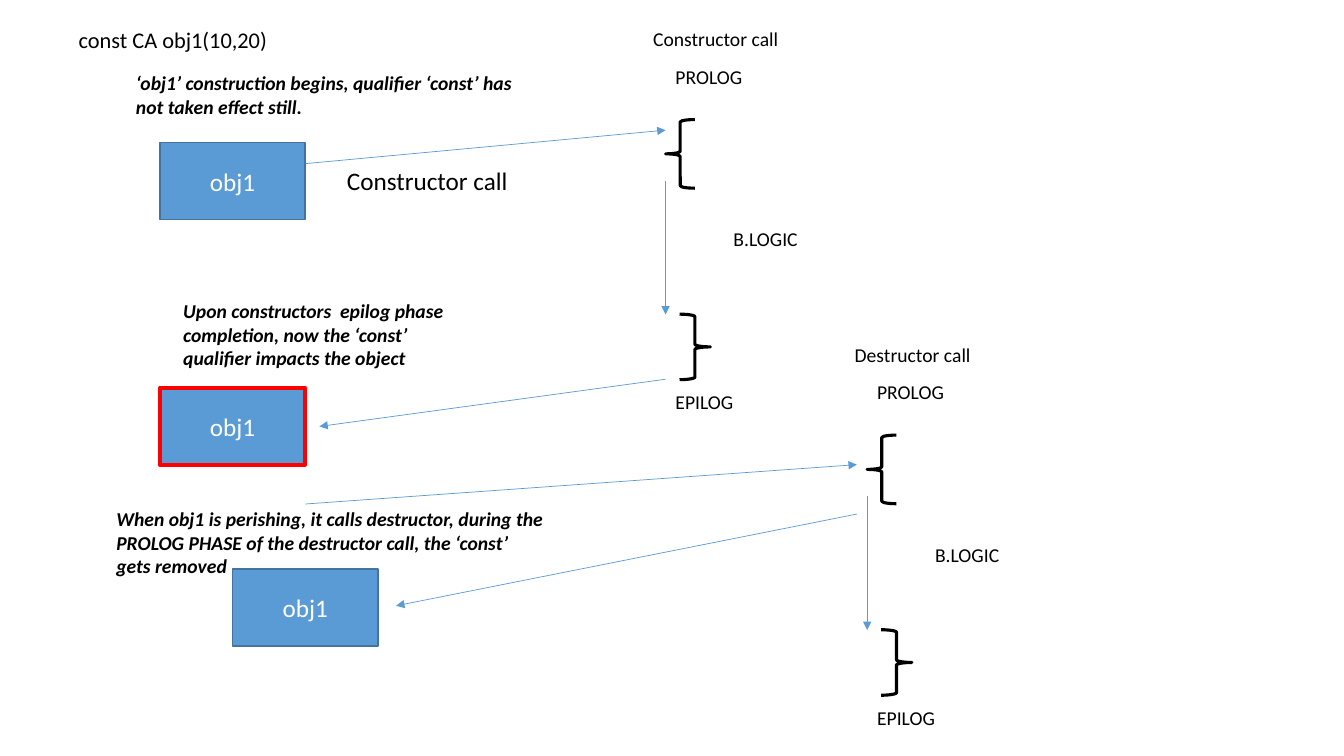
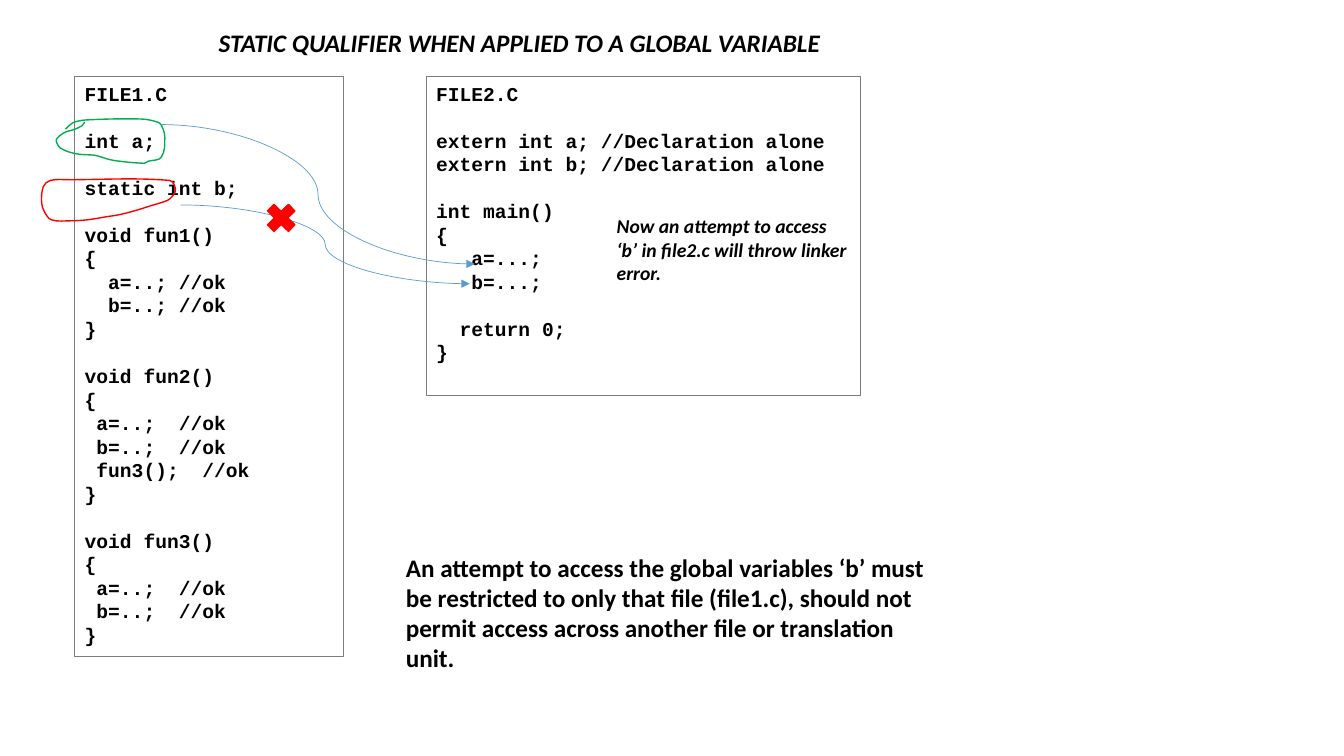
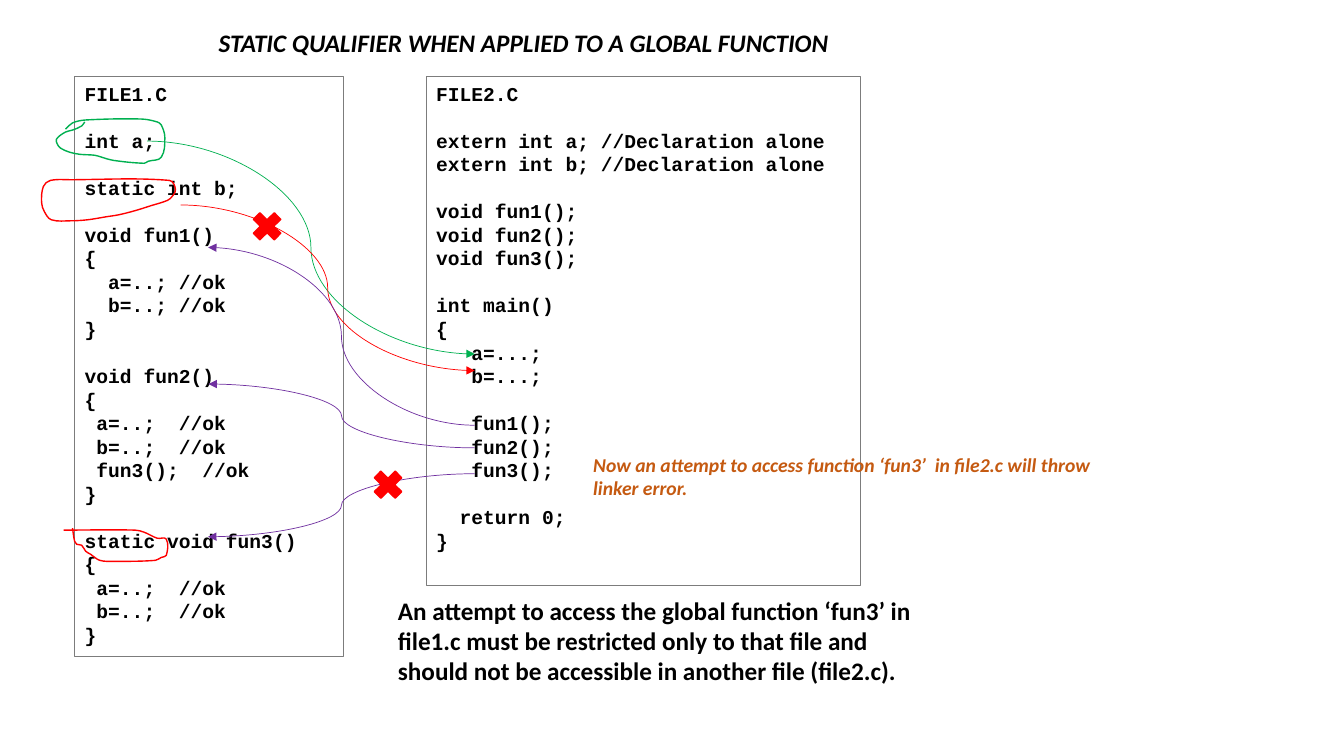
from dataclasses import dataclass
from typing import Optional

from lxml import etree
from pptx import Presentation
from pptx import util as u
from pptx.dml.color import RGBColor
from pptx.enum import shapes, text
from pptx.oxml import ns

BLACK = RGBColor(0x00, 0x00, 0x00)
WHITE = RGBColor(0xFF, 0xFF, 0xFF)
BLUE = RGBColor(0x5B, 0x9B, 0xD5)
DARK_BLUE = RGBColor(0x43, 0x73, 0x9E)
GRAY = RGBColor(0x7C, 0x7C, 0x7C)
RED = RGBColor(0xFF, 0x00, 0x00)
GREEN = RGBColor(0x00, 0xB0, 0x50)
PURPLE = RGBColor(0x70, 0x30, 0xA0)
ORANGE = RGBColor(0xC5, 0x5A, 0x11)

BODY_FONT = "Calibri"
CODE_FONT = "Courier New"
CODE_LINE = 16.8
TITLE_ONLY = 5

Point = tuple[float, float]


@dataclass(frozen=True)
class Box:
    left: float
    top: float
    width: float
    height: float


@dataclass(frozen=True)
class Style:
    size: float = 14
    bold: bool = False
    italic: bool = False
    color: RGBColor = BLACK
    font: str = BODY_FONT


@dataclass(frozen=True)
class Arrow:
    start: Point
    end: Point
    color: RGBColor = BLUE
    curved: bool = False


@dataclass(frozen=True)
class Scribble:
    points: tuple[Point, ...]
    color: RGBColor


@dataclass(frozen=True)
class Label:
    box: Box
    words: str
    style: Style


@dataclass(frozen=True)
class StaticSlide:
    title: str
    file1: str
    file2: str
    file2_height: float
    labels: tuple[Label, ...]
    arrows: tuple[Arrow, ...]
    scribbles: tuple[Scribble, ...]
    crosses: tuple[Point, ...]


PLAIN = Style()
NOTE = Style(bold=True, italic=True)
WARNING = Style(bold=True, italic=True, color=ORANGE)
HEADING = Style(size=18, bold=True, italic=True)
SUMMARY = Style(size=18, bold=True)
CODE = Style(bold=True, font=CODE_FONT)

VARIABLE_A_RING = Scribble((
    (46.8, 92.2), (51.8, 87.8), (61.2, 85.7), (100.8, 85), (112.3, 87.1), (115.2, 89.3),
    (117.7, 98), (115.2, 112.3), (105.8, 115.2), (103, 116.6), (80.6, 114.5), (72.7, 112.3),
    (67.7, 110.9), (56.9, 110.2), (49.7, 108.7), (43.2, 105.8), (41, 103), (40.3, 99.4),
    (46.8, 94.3), (51.8, 92.9), (58.3, 90), (60.5, 87.1)), GREEN)
STATIC_B_RING = Scribble((
    (44.6, 128.4), (121, 128.9), (125.3, 135.4), (121.7, 141.8), (117.4, 144), (108, 146.9),
    (96.5, 150.5), (85, 153.4), (76.3, 154.8), (62.6, 157), (51.1, 157.7), (36.7, 157),
    (31.7, 151.2), (29.7, 144.7), (31, 133.2), (36, 128.9), (53.3, 128.4)), RED)
STATIC_FUN3_RING = Scribble((
    (45.4, 378.7), (96.5, 378.7), (103, 380.2), (112.3, 384.5), (118.8, 385.2),
    (118.8, 396.7), (115.2, 398.2), (110.9, 400.3), (81.4, 401), (71.3, 400.3),
    (64.8, 396), (61.2, 393.8), (58.3, 389.5), (54.7, 388.8), (53.3, 386.6), (51.8, 377.3)), RED)

FILE1_START = """FILE1.C

int a;

static int b;

void fun1()
{
  a=..; //ok
  b=..; //ok
}

void fun2()
{
 a=..;  //ok
 b=..;  //ok
 fun3();  //ok
}

"""
FILE1_END = """void fun3()
{
 a=..;  //ok
 b=..;  //ok
}"""
FILE2_START = """FILE2.C

extern int a; //Declaration alone
extern int b; //Declaration alone

"""
FILE2_PROTOTYPES = """void fun1();
void fun2();
void fun3();

"""
FILE2_MAIN = """int main()
{
   a=...;
   b=...;

"""
FILE2_CALLS = """   fun1();
   fun2();
   fun3();

"""
FILE2_END = """  return 0;
}"""

STATIC_SLIDES = (
    StaticSlide(
        "STATIC QUALIFIER WHEN APPLIED TO A GLOBAL VARIABLE",
        FILE1_START + FILE1_END,
        FILE2_START + FILE2_MAIN + FILE2_END,
        227.5,
        (Label(Box(433.4, 149.4, 180.7, 58.3),
               "Now an attempt to access ‘b’ in file2.c will throw linker error.", NOTE),
         Label(Box(282.8, 390.6, 386.6, 94.3),
               "An attempt to access the global variables ‘b’ must be restricted to only that file "
               "(file1.c), should not permit access across another file or translation unit.",
               SUMMARY)),
        (Arrow((115.2, 89), (339.1, 188.6), BLUE, True),
         Arrow((129.1, 146.4), (335.5, 202.7), BLUE, True)),
        (VARIABLE_A_RING, STATIC_B_RING),
        ((186.5, 141.6),),
    ),
    StaticSlide(
        "STATIC QUALIFIER WHEN APPLIED TO A GLOBAL FUNCTION",
        FILE1_START + "static " + FILE1_END,
        FILE2_START + FILE2_PROTOTYPES + FILE2_MAIN + FILE2_CALLS + FILE2_END,
        363.6,
        (Label(Box(416.6, 319.7, 403, 41),
               "Now an attempt to access function ‘fun3’  in file2.c will throw linker error.",
               WARNING),
         Label(Box(277.2, 421.6, 386.6, 72.7),
               "An attempt to access the global function ‘fun3’ in file1.c must be restricted only "
               "to that file and should not be accessible in another file (file2.c).", SUMMARY)),
        (Arrow((105.1, 100.8), (339.1, 252.9), GREEN, True),
         Arrow((129.1, 146.4), (339.1, 264.7), RED, True),
         Arrow((339.1, 303.8), (148.7, 176.8), PURPLE, True),
         Arrow((339.1, 319.9), (149, 274.3), PURPLE, True),
         Arrow((339.1, 338.4), (148.7, 383.4), PURPLE, True)),
        (VARIABLE_A_RING, STATIC_B_RING, STATIC_FUN3_RING),
        ((176.4, 147.6), (262.8, 332.2)),
    ),
)


def place(box: Box) -> tuple[u.Length, ...]:
    return u.Pt(box.left), u.Pt(box.top), u.Pt(box.width), u.Pt(box.height)


def add_words(paragraph, words: str, style: Style) -> None:
    run = paragraph.add_run()
    run.text = words
    run.font.name = style.font
    run.font.size = u.Pt(style.size)
    run.font.bold = style.bold
    run.font.italic = style.italic
    run.font.color.rgb = style.color


def add_label(slide, label: Label) -> None:
    shape = slide.shapes.add_textbox(*place(label.box))
    shape.text_frame.word_wrap = True
    add_words(shape.text_frame.paragraphs[0], label.words, label.style)


def set_title(slide, label: Label) -> None:
    shape = slide.shapes.title
    shape.left, shape.top, shape.width, shape.height = place(label.box)
    frame = shape.text_frame
    frame.auto_size = text.MSO_AUTO_SIZE.NONE
    frame.word_wrap = True
    frame.vertical_anchor = text.MSO_ANCHOR.TOP
    paragraph = frame.paragraphs[0]
    paragraph.alignment = text.PP_ALIGN.LEFT
    add_words(paragraph, label.words, label.style)


def add_outline(slide, kind, box: Box, color: RGBColor, weight: float,
                fill: Optional[RGBColor] = None):
    shape = slide.shapes.add_shape(kind, *place(box))
    shape.shadow.inherit = False
    shape.line.color.rgb = color
    shape.line.width = u.Pt(weight)
    if fill is None:
        shape.fill.background()
    else:
        shape.fill.solid()
        shape.fill.fore_color.rgb = fill
    return shape


def add_object(slide, left: float, top: float, color: RGBColor, weight: float) -> None:
    shape = add_outline(slide, shapes.MSO_SHAPE.RECTANGLE, Box(left, top, 103.7, 54.9),
                        color, weight, BLUE)
    shape.text_frame.vertical_anchor = text.MSO_ANCHOR.MIDDLE
    paragraph = shape.text_frame.paragraphs[0]
    paragraph.alignment = text.PP_ALIGN.CENTER
    add_words(paragraph, "obj1", Style(size=18, color=WHITE))


def add_arrow(slide, arrow: Arrow) -> None:
    kind = shapes.MSO_CONNECTOR.CURVE if arrow.curved else shapes.MSO_CONNECTOR.STRAIGHT
    ends = (u.Pt(length) for length in arrow.start + arrow.end)
    connector = slide.shapes.add_connector(kind, *ends)
    connector.line.color.rgb = arrow.color
    connector.line.width = u.Pt(0.5)
    properties = connector._element.spPr
    etree.SubElement(properties.find(ns.qn("a:ln")), ns.qn("a:tailEnd"), type="triangle")
    etree.SubElement(properties, ns.qn("a:effectLst"))


def round_corners(shape, points: tuple[Point, ...]) -> None:
    knots = [complex(u.Pt(x) - shape.left, u.Pt(y) - shape.top) for x, y in points]
    chords = [after - before for before, after in
              zip(knots[:1] + knots[:-1], knots[1:] + knots[-1:])]
    directions = [chord / abs(chord) for chord in chords]
    segments = list(shape._element.spPr.iter(ns.qn("a:lnTo")))
    for index, segment in enumerate(segments):
        start, end = knots[index:index + 2]
        reach = abs(end - start) / 3
        controls = (start + directions[index] * reach, end - directions[index + 1] * reach, end)
        curve = etree.Element(ns.qn("a:cubicBezTo"))
        for control in controls:
            etree.SubElement(curve, ns.qn("a:pt"), x=str(round(control.real)),
                             y=str(round(control.imag)))
        segment.getparent().replace(segment, curve)


def add_scribble(slide, scribble: Scribble) -> None:
    corners = [(u.Pt(x), u.Pt(y)) for x, y in scribble.points]
    builder = slide.shapes.build_freeform(*corners[0])
    builder.add_line_segments(corners[1:], close=False)
    shape = builder.convert_to_shape()
    round_corners(shape, scribble.points)
    shape.shadow.inherit = False
    shape.fill.background()
    shape.line.color.rgb = scribble.color
    shape.line.width = u.Pt(1)


def add_code(slide, box: Box, code: str) -> None:
    shape = add_outline(slide, shapes.MSO_SHAPE.RECTANGLE, box, GRAY, 0.75)
    frame = shape.text_frame
    frame.word_wrap = True
    frame.vertical_anchor = text.MSO_ANCHOR.TOP
    for number, block in enumerate(code.split("\n\n")):
        for row, line in enumerate(block.split("\n")):
            first = number == row == 0
            paragraph = frame.paragraphs[0] if first else frame.add_paragraph()
            paragraph.alignment = text.PP_ALIGN.LEFT
            paragraph.line_spacing = u.Pt(CODE_LINE)
            if number and row == 0:
                paragraph.space_before = u.Pt(CODE_LINE)
            add_words(paragraph, line, CODE)


def add_call(slide, left: float, top: float, name: str) -> None:
    axis = left + 16
    for x, y, width, words in (
        (left, top, 189.4, name),
        (axis, top + 26.8, 82.8, "PROLOG"),
        (left + 57.4, top + 142.8, 82.8, "B.LOGIC"),
        (axis, top + 259.2, 82.8, "EPILOG"),
    ):
        add_label(slide, Label(Box(x, y, width, 24.5), words, PLAIN))
    add_outline(slide, shapes.MSO_SHAPE.LEFT_BRACE, Box(axis, top + 69.6, 20.9, 49), BLACK, 2.25)
    add_outline(slide, shapes.MSO_SHAPE.RIGHT_BRACE, Box(axis + 10, top + 208.6, 22, 46.8),
                BLACK, 2.25)
    add_arrow(slide, Arrow((axis, top + 113.4), (axis, top + 208.8)))


def add_slide(presentation, title: Label):
    slide = presentation.slides.add_slide(presentation.slide_layouts[TITLE_ONLY])
    set_title(slide, title)
    return slide


def build_const_slide(presentation) -> None:
    title = Label(Box(49, 15.1, 169.2, 26.6), "const CA obj1(10,20)", Style(size=16))
    slide = add_slide(presentation, title)
    add_call(slide, 459.4, 15.8, "Constructor call")
    add_call(slide, 603.4, 241.2, "Destructor call")
    add_object(slide, 114.2, 101.8, DARK_BLUE, 1)
    add_object(slide, 114.2, 277, RED, 3)
    for arrow in (
        Arrow((218.2, 116.9), (475.4, 93)),
        Arrow((475.4, 270.9), (228.2, 304.6)),
        Arrow((218.2, 360), (612, 331.9)),
        Arrow((612, 367.2), (283, 432.7)),
    ):
        add_arrow(slide, arrow)
    for label in (
        Label(Box(90, 47.1, 293.8, 41),
              "‘obj1’ construction begins, qualifier ‘const’ has not taken effect still.", NOTE),
        Label(Box(123.8, 210.2, 213.8, 58.3),
              "Upon constructors  epilog phase completion, now the ‘const’ qualifier impacts "
              "the object", NOTE),
        Label(Box(76, 358.6, 321.8, 58.3),
              "When obj1 is perishing, it calls destructor, during the PROLOG PHASE of the "
              "destructor call, the ‘const’ gets removed", NOTE),
        Label(Box(240.7, 114.5, 138.2, 28.8), "Constructor call", Style(size=18)),
    ):
        add_label(slide, label)
    add_object(slide, 166.3, 406.5, DARK_BLUE, 1)


def build_static_slide(presentation, content: StaticSlide) -> None:
    slide = add_slide(presentation, Label(Box(149, 15.8, 535, 28.8), content.title, HEADING))
    add_code(slide, Box(53.4, 54.7, 192, 414.3), content.file1)
    add_code(slide, Box(304.4, 54.7, 310.3, content.file2_height), content.file2)
    for label in content.labels:
        add_label(slide, label)
    for scribble in content.scribbles:
        add_scribble(slide, scribble)
    for arrow in content.arrows:
        add_arrow(slide, arrow)
    for left, top in content.crosses:
        add_outline(slide, shapes.MSO_SHAPE.MATH_MULTIPLY, Box(left, top, 28.8, 28.1), RED, 1, RED)


def main() -> None:
    presentation = Presentation()
    presentation.slide_width = u.Pt(960)
    presentation.slide_height = u.Pt(540)
    build_const_slide(presentation)
    for content in STATIC_SLIDES:
        build_static_slide(presentation, content)
    presentation.save("out.pptx")


if __name__ == "__main__":
    main()
